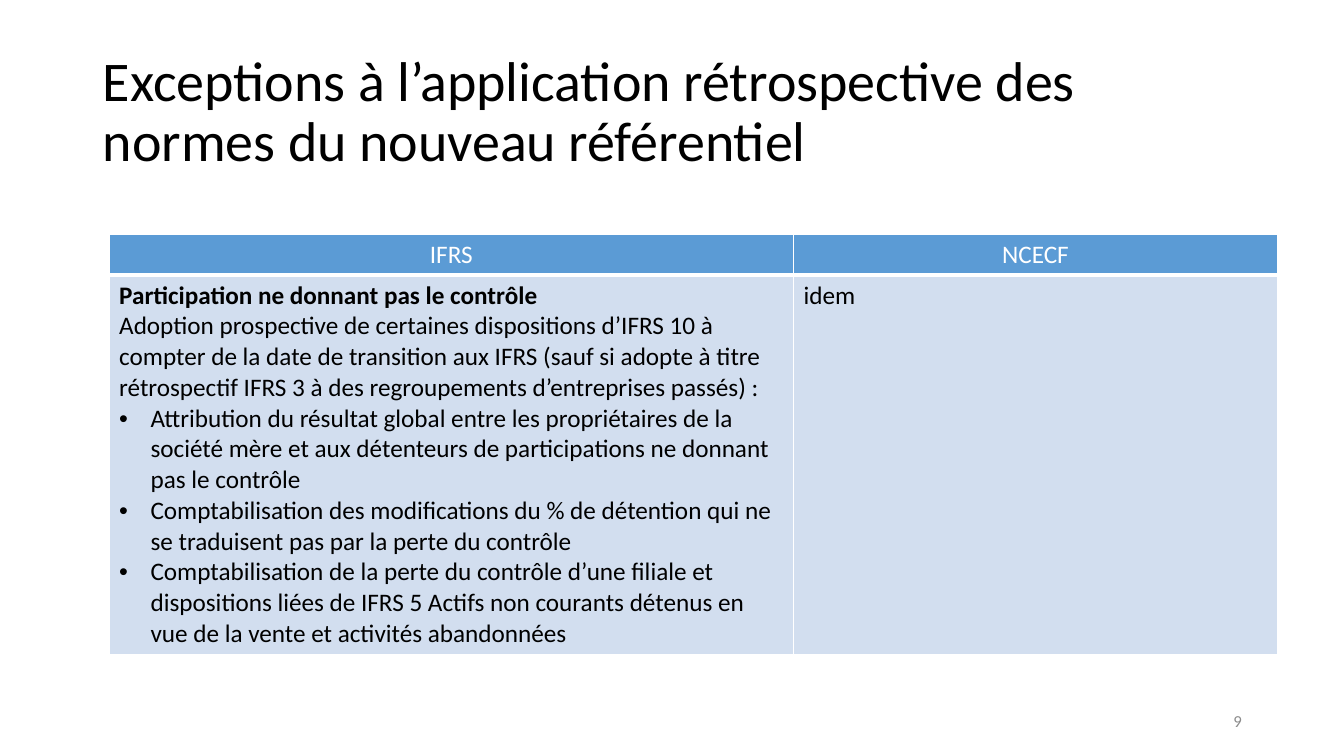
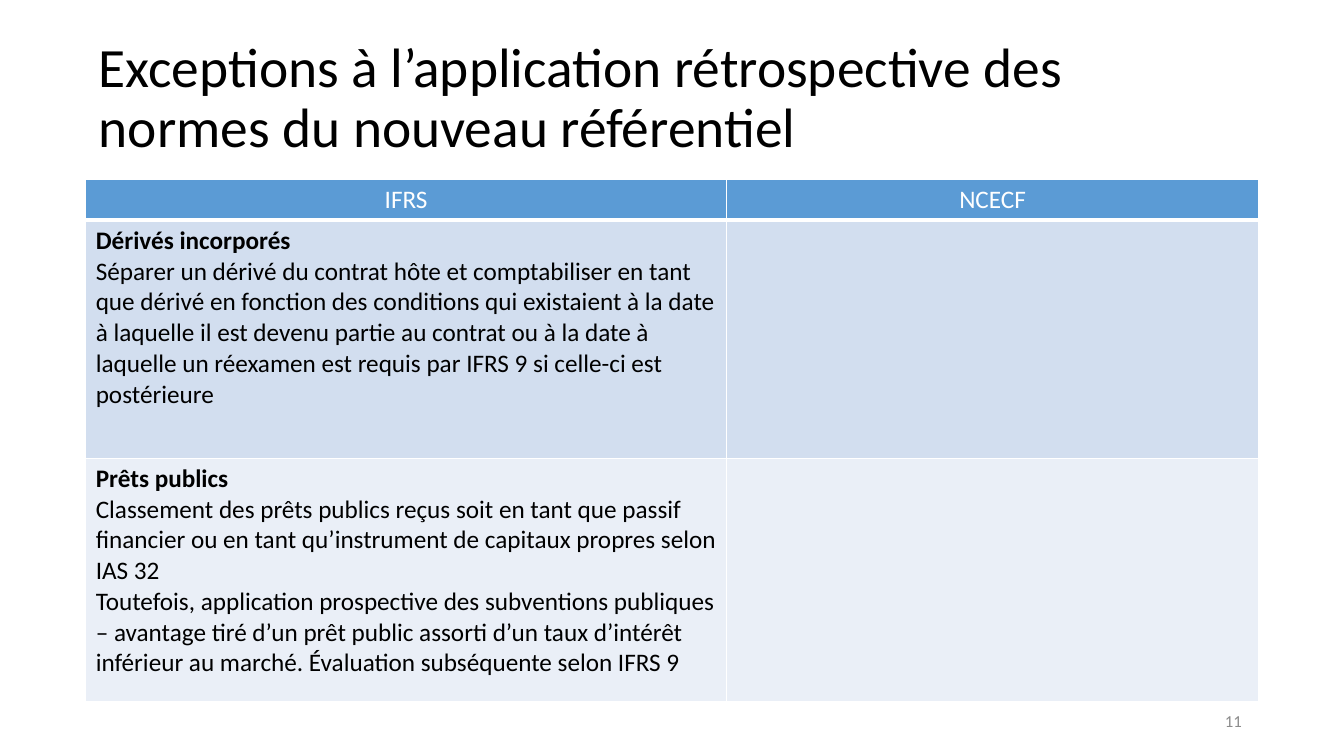
from dataclasses import dataclass

from lxml.etree import SubElement
from pptx import Presentation
from pptx.dml.color import RGBColor
from pptx.enum.text import MSO_ANCHOR, PP_ALIGN
from pptx.oxml.ns import qn
from pptx.util import Cm, Pt

FONT = "Calibri"
BLACK, WHITE, GREY = "000000", "FFFFFF", "8C8C8C"
HEADER_FILL = "5B9BD5"
BAND_FILLS = ("D2DEEF", "EAEFF7")
HEADINGS = ("IFRS", "NCECF")
TITLE = "Exceptions à l’application rétrospective des normes du nouveau référentiel"
TABLE_TEXT_SIZE = 18
HEADER_HEIGHT = 1.03
BULLET_INDENT = Cm(0.79)


@dataclass(frozen=True)
class Box:
    """Position and size in centimetres."""
    left: float
    top: float
    width: float
    height: float

    def lengths(self) -> tuple:
        return Cm(self.left), Cm(self.top), Cm(self.width), Cm(self.height)


@dataclass(frozen=True)
class Line:
    text: str
    bold: bool = False
    bullet: bool = False
    color: str = BLACK
    align: PP_ALIGN = PP_ALIGN.LEFT


@dataclass(frozen=True)
class ComparisonRow:
    height: float
    ifrs: tuple[Line, ...]
    ncecf: tuple[Line, ...] = ()


@dataclass(frozen=True)
class ComparisonSlide:
    number: int
    title_box: Box
    title_size: float
    table_left: float
    table_top: float
    column_widths: tuple[float, float]
    rows: tuple[ComparisonRow, ...]


PAGE_NUMBER_BOX = Box(23.93, 17.65, 7.62, 1.02)

SLIDES = (
    ComparisonSlide(
        9, Box(2.34, 1.02, 29.21, 3.68), 40, 2.75, 5.9, (17.25, 12.19),
        (ComparisonRow(9.56, (
            Line("Participation ne donnant pas le contrôle", bold=True),
            Line("Adoption prospective de certaines dispositions d’IFRS 10 à compter de la "
                 "date de transition aux IFRS (sauf si adopte à titre rétrospectif IFRS 3 à "
                 "des regroupements d’entreprises passés) :"),
            Line("Attribution du résultat global entre les propriétaires de la société mère "
                 "et aux détenteurs de participations ne donnant pas le contrôle", bullet=True),
            Line("Comptabilisation des modifications du % de détention qui ne se traduisent "
                 "pas par la perte du contrôle", bullet=True),
            Line("Comptabilisation de la perte du contrôle d’une filiale et dispositions "
                 "liées de IFRS 5 Actifs non courants détenus en vue de la vente et "
                 "activités abandonnées", bullet=True),
        ), (Line("idem"),)),),
    ),
    ComparisonSlide(
        11, Box(2.24, 1.47, 29.39, 2.06), 39.6, 2.16, 4.52, (16.15, 13.41),
        (
            ComparisonRow(6, (
                Line("Dérivés incorporés", bold=True),
                Line("Séparer un dérivé du contrat hôte et comptabiliser en tant que dérivé "
                     "en fonction des conditions qui existaient à la date à laquelle il est "
                     "devenu partie au contrat ou à la date à laquelle un réexamen est requis "
                     "par IFRS 9 si celle-ci est postérieure"),
            )),
            ComparisonRow(6.12, (
                Line("Prêts publics", bold=True),
                Line("Classement des prêts publics reçus soit en tant que passif financier ou "
                     "en tant qu’instrument de capitaux propres selon IAS 32"),
                Line("Toutefois, application prospective des subventions publiques – avantage "
                     "tiré d’un prêt public assorti d’un taux d’intérêt inférieur au marché. "
                     "Évaluation subséquente selon IFRS 9"),
            )),
        ),
    ),
)


def rgb(color: str) -> RGBColor:
    return RGBColor.from_string(color)


def add_bullet(paragraph) -> None:
    properties = paragraph._p.get_or_add_pPr()
    properties.set("marL", str(BULLET_INDENT))
    properties.set("indent", str(-BULLET_INDENT))
    SubElement(properties, qn("a:buFont"), typeface="Arial")
    SubElement(properties, qn("a:buChar"), char="•")


def write_lines(frame, lines: tuple[Line, ...], size: float) -> None:
    for index, line in enumerate(lines):
        paragraph = frame.add_paragraph() if index else frame.paragraphs[0]
        if line.bullet:
            add_bullet(paragraph)
        paragraph.alignment = line.align
        run = paragraph.add_run()
        run.text = line.text
        run.font.name = FONT
        run.font.size = Pt(size)
        run.font.bold = line.bold
        run.font.color.rgb = rgb(line.color)


def add_text(slide, box: Box, line: Line, size: float):
    frame = slide.shapes.add_textbox(*box.lengths()).text_frame
    frame.word_wrap = True
    frame.vertical_anchor = MSO_ANCHOR.MIDDLE
    write_lines(frame, (line,), size)
    return frame


def draw_borders(cell, bottom_width: float) -> None:
    properties = cell._tc.get_or_add_tcPr()
    for side, width in (("L", 1), ("R", 1), ("T", 1), ("B", bottom_width)):
        border = SubElement(properties, qn(f"a:ln{side}"), w=str(Pt(width)))
        fill = SubElement(border, qn("a:solidFill"))
        SubElement(fill, qn("a:srgbClr"), val=WHITE)


def fill_cell(cell, lines: tuple[Line, ...], color: str, bottom_width: float = 1) -> None:
    draw_borders(cell, bottom_width)
    cell.fill.solid()
    cell.fill.fore_color.rgb = rgb(color)
    write_lines(cell.text_frame, lines, TABLE_TEXT_SIZE)


def add_comparison_table(slide, content: ComparisonSlide) -> None:
    heights = (HEADER_HEIGHT, *(row.height for row in content.rows))
    box = Box(content.table_left, content.table_top,
              sum(content.column_widths), sum(heights))
    table = slide.shapes.add_table(len(heights), len(HEADINGS), *box.lengths()).table
    table.first_row = False
    table.horz_banding = False
    for column, width in zip(table.columns, content.column_widths):
        column.width = Cm(width)
    for row, height in zip(table.rows, heights):
        row.height = Cm(height)

    for column_index, heading in enumerate(HEADINGS):
        line = Line(heading, color=WHITE, align=PP_ALIGN.CENTER)
        fill_cell(table.cell(0, column_index), (line,), HEADER_FILL, bottom_width=3)
    for row_index, row in enumerate(content.rows):
        band = BAND_FILLS[row_index % len(BAND_FILLS)]
        for column_index, lines in enumerate((row.ifrs, row.ncecf)):
            fill_cell(table.cell(row_index + 1, column_index), lines, band)


def add_comparison_slide(deck, content: ComparisonSlide) -> None:
    slide = deck.slides.add_slide(deck.slide_layouts[6])
    title = add_text(slide, content.title_box, Line(TITLE), content.title_size)
    title.paragraphs[0].line_spacing = 0.9
    add_comparison_table(slide, content)
    page_number = Line(str(content.number), color=GREY, align=PP_ALIGN.RIGHT)
    add_text(slide, PAGE_NUMBER_BOX, page_number, 12)


def main() -> None:
    deck = Presentation()
    deck.slide_width, deck.slide_height = Cm(33.87), Cm(19.05)
    for content in SLIDES:
        add_comparison_slide(deck, content)
    deck.save("out.pptx")


if __name__ == "__main__":
    main()
